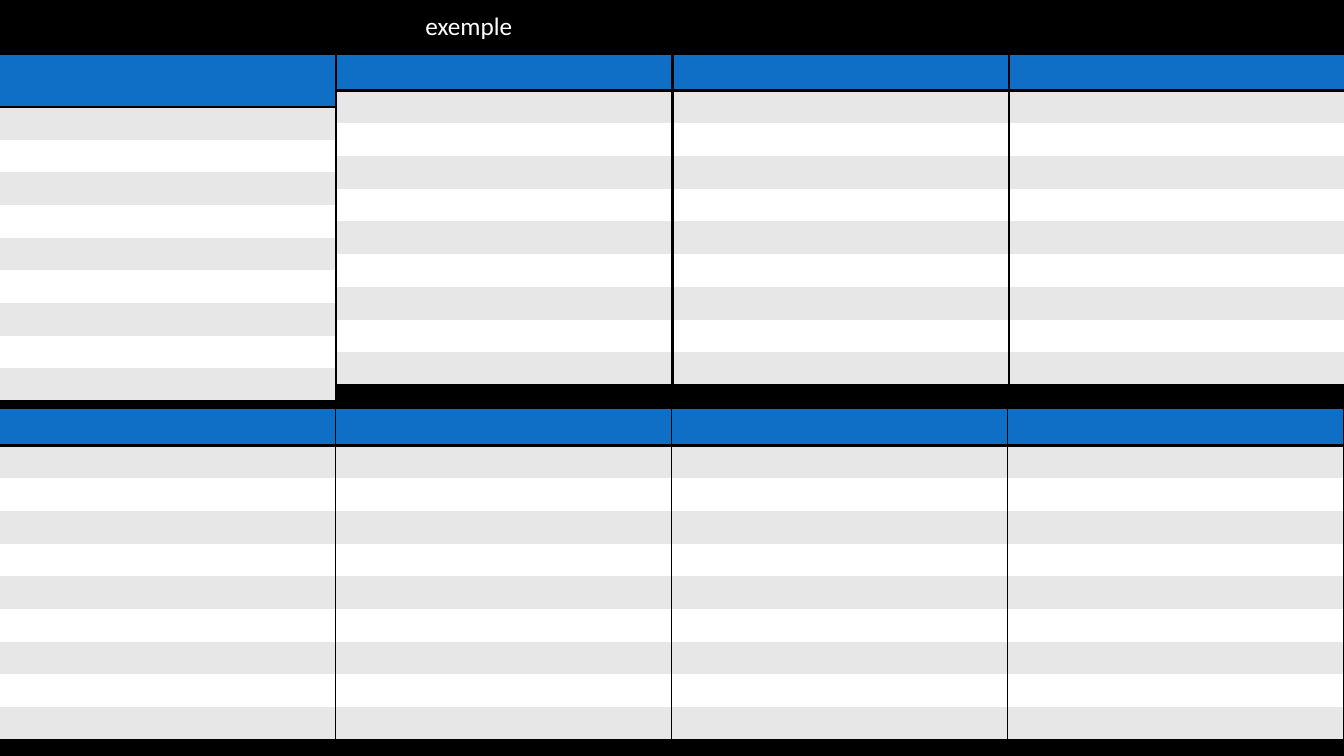
"""Build a slide of eight empty striped tables under a short title."""
from lxml.etree import SubElement
from pptx import Presentation
from pptx.dml.color import RGBColor
from pptx.enum.text import MSO_ANCHOR, PP_ALIGN
from pptx.oxml.ns import qn
from pptx.util import Inches, Pt

TITLE = "exemple"
TITLE_BOX = (4.12, 0.05, 5.11, 0.4)
TITLE_FORMAT = {"name": "Calibri", "size": Pt(18), "bold": False}
BLACK, WHITE, BLUE, GREY = "000000", "FFFFFF", "0F6FC6", "E7E7E7"
WIDTH, HEIGHT = 13.33, 7.5
COLUMNS, BODY_ROWS = 4, 9
BODY_HEIGHT = 2.92
TABLE_WIDTH = 3.32
BANDS = [
    {"top": 0.53, "pitch": 3.34, "headers": [0.53, 0.37, 0.37, 0.37]},
    {"top": 4.05, "pitch": WIDTH / COLUMNS, "headers": [0.37] * COLUMNS},
]
NO_STYLE = "{2D5ABB26-0587-4C30-8999-92F81FD0307C}"
MARGINS = ("margin_left", "margin_top", "margin_right", "margin_bottom")


def rgb(value):
    return RGBColor.from_string(value)


def add_border(cell, edge):
    tc_pr = cell._tc.get_or_add_tcPr()
    ln = SubElement(tc_pr, qn(f"a:{edge}"), w=str(Pt(2)))
    fill = SubElement(ln, qn("a:solidFill"))
    SubElement(fill, qn("a:srgbClr"), val=BLACK)


def add_striped_table(slide, left, top, header):
    heights = [header] + [BODY_HEIGHT / BODY_ROWS] * BODY_ROWS
    frame = slide.shapes.add_table(
        len(heights), 1, Inches(left), Inches(top),
        Inches(TABLE_WIDTH), Inches(sum(heights)))
    table = frame.table
    table._tbl.tblPr.find(qn("a:tableStyleId")).text = NO_STYLE
    for i, height in enumerate(heights):
        table.rows[i].height = Inches(height)
        cell = table.cell(i, 0)
        for margin in MARGINS:
            setattr(cell, margin, 0)
        if i == 0:
            add_border(cell, "lnT")
        if i in (0, BODY_ROWS):
            add_border(cell, "lnB")
        cell.fill.solid()
        color = BLUE if i == 0 else GREY if i % 2 else WHITE
        cell.fill.fore_color.rgb = rgb(color)


def add_title(slide):
    sp = slide.shapes.title
    sp.left, sp.top, sp.width, sp.height = map(Inches, TITLE_BOX)
    tf = sp.text_frame
    tf.text = TITLE
    tf.vertical_anchor = MSO_ANCHOR.TOP
    p = tf.paragraphs[0]
    p.alignment = PP_ALIGN.LEFT
    font = p.runs[0].font
    for name, value in TITLE_FORMAT.items():
        setattr(font, name, value)
    font.color.rgb = rgb(WHITE)


def main():
    prs = Presentation()
    prs.slide_width, prs.slide_height = Inches(WIDTH), Inches(HEIGHT)
    slide = prs.slides.add_slide(prs.slide_layouts[5])
    slide.background.fill.solid()
    slide.background.fill.fore_color.rgb = rgb(BLACK)
    add_title(slide)
    for band in BANDS:
        for col, header in enumerate(band["headers"]):
            add_striped_table(slide, col * band["pitch"], band["top"], header)
    prs.save("out.pptx")


if __name__ == "__main__":
    main()
